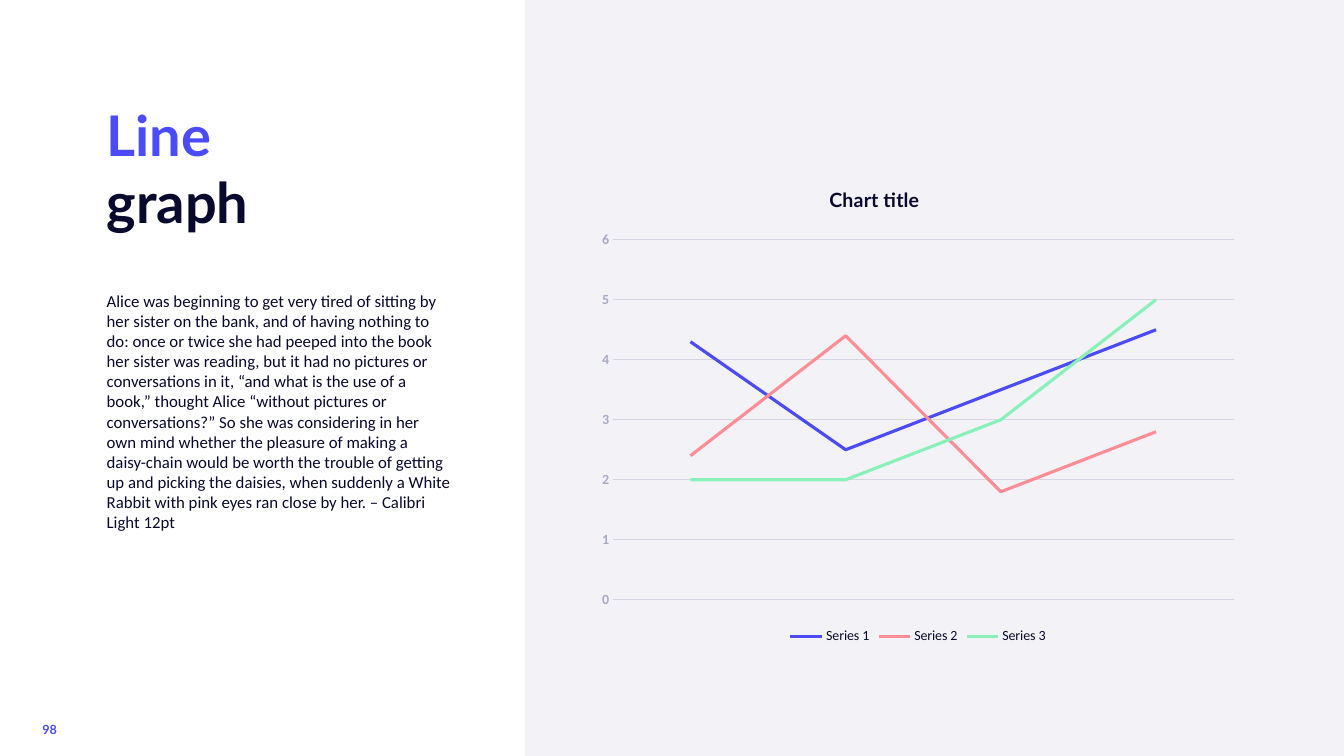
from lxml.etree import SubElement
from pptx import Presentation
from pptx.chart.data import CategoryChartData
from pptx.dml.color import RGBColor
from pptx.enum.chart import XL_CHART_TYPE as ChartType
from pptx.enum.chart import XL_LEGEND_POSITION as LegendPosition
from pptx.enum.chart import XL_TICK_MARK as TickMark
from pptx.enum.shapes import MSO_SHAPE as Shape
from pptx.oxml.ns import qn
from pptx.util import Cm, Pt

BLUE = RGBColor(0x4B, 0x4B, 0xF9)
NAVY = RGBColor(0x09, 0x09, 0x2D)
CORAL = RGBColor(0xFF, 0x8D, 0x95)
MINT = RGBColor(0x8A, 0xF0, 0xBA)
PANEL_GREY = RGBColor(0xF3, 0xF3, 0xF7)
GRID_GREY = RGBColor(0xD6, 0xD6, 0xE3)
LABEL_GREY = RGBColor(0xA9, 0xA9, 0xC6)

TITLE = [("Line", BLUE), ("graph", NAVY)]
BODY = (
    "Alice was beginning to get very tired of sitting by her sister on the bank, "
    "and of having nothing to do: once or twice she had peeped into the book her "
    "sister was reading, but it had no pictures or conversations in it, “and what "
    "is the use of a book,” thought Alice “without pictures or conversations?” So "
    "she was considering in her own mind whether the pleasure of making a "
    "daisy-chain would be worth the trouble of getting up and picking the daisies, "
    "when suddenly a White Rabbit with pink eyes ran close by her. – Calibri Light "
    "12pt"
)
PAGE_NUMBER = "98"
CHART_TITLE = "Chart title"
CATEGORIES = ["1", "2", "3", "4"]
SERIES = [
    ("Series 1", (4.3, 2.5, 3.5, 4.5), BLUE),
    ("Series 2", (2.4, 4.4, 1.8, 2.8), CORAL),
    ("Series 3", (2, 2, 3, 5), MINT),
]

PAGE_WIDTH, PAGE_HEIGHT = Cm(33.87), Cm(19.05)
PANEL_LEFT = Cm(13.23)
TEXT_LEFT = Cm(2.44)


def style(font, name, size, color=None, bold=False):
    font.name, font.size, font.bold = name, Pt(size), bold
    if color is not None:
        font.color.rgb = color


def add_text(page, left, top, width, height):
    """Add a wrapping text box and return its text frame."""
    frame = page.shapes.add_textbox(left, top, width, height).text_frame
    frame.word_wrap = True
    return frame


def place(element, **fractions):
    """Fix a chart part at fractions of the chart's width and height."""
    layout = element.find(qn("c:layout"))
    if layout is None:
        layout = element.makeelement(qn("c:layout"))
        element.insert(0, layout)
    manual = SubElement(layout, qn("c:manualLayout"))
    if "w" in fractions:
        SubElement(manual, qn("c:layoutTarget")).set("val", "inner")
    for mode in ("xMode", "yMode"):
        SubElement(manual, qn(f"c:{mode}")).set("val", "edge")
    for key, value in fractions.items():
        SubElement(manual, qn(f"c:{key}")).set("val", str(value))


def add_line_chart(page):
    data = CategoryChartData()
    data.categories = CATEGORIES
    for name, values, _ in SERIES:
        data.add_series(name, values)
    chart = page.shapes.add_chart(
        ChartType.LINE, Cm(14.83), Cm(4.34), Cm(16.61), Cm(11.99), data
    ).chart
    style(chart.font, "Lato", 12, NAVY)

    chart.has_title = True
    heading = chart.chart_title.text_frame
    heading.text = CHART_TITLE
    style(heading.paragraphs[0].font, "Lato", 14, NAVY, True)
    place(chart.chart_title._element, x=0.36, y=0.02)
    plot = chart.plots[0]
    place(plot._element.getparent(), x=0.037, y=0.142, w=0.942, h=0.757)

    chart.has_legend = True
    chart.legend.position = LegendPosition.BOTTOM
    chart.legend.include_in_layout = False
    style(chart.legend.font, "Calibri", 10, NAVY)

    chart.category_axis.visible = False
    axis = chart.value_axis
    axis.minimum_scale, axis.maximum_scale, axis.major_unit = 0, 6, 1
    axis.major_tick_mark = axis.minor_tick_mark = TickMark.NONE
    axis.format.line.fill.background()
    axis.major_gridlines.format.line.color.rgb = GRID_GREY
    axis.major_gridlines.format.line.width = Pt(0.75)
    style(axis.tick_labels.font, "Calibri", 10, LABEL_GREY, True)

    plot.vary_by_categories = False
    for series, (_, _, color) in zip(plot.series, SERIES):
        series.smooth = False
        series.format.line.color.rgb = color
        series.format.line.width = Pt(2.25)


def main():
    deck = Presentation()
    deck.slide_width, deck.slide_height = PAGE_WIDTH, PAGE_HEIGHT
    page = deck.slides.add_slide(deck.slide_layouts[6])

    number = add_text(page, Cm(0.94), Cm(18.11), Cm(1.02), Cm(0.61))
    number.margin_left = number.margin_right = Cm(0.13)
    number.margin_top = number.margin_bottom = Cm(0.13)
    para = number.paragraphs[0]
    para.text = PAGE_NUMBER
    para.line_spacing = 0.9
    style(para.font, "Lato", 9, BLUE, True)

    panel = page.shapes.add_shape(
        Shape.RECTANGLE, PANEL_LEFT, 0, PAGE_WIDTH - PANEL_LEFT, PAGE_HEIGHT
    )
    panel.shadow.inherit = False
    panel.fill.solid()
    panel.fill.fore_color.rgb = PANEL_GREY
    panel.line.fill.background()

    para = add_text(page, TEXT_LEFT, Cm(2.41), Cm(9.91), Cm(3.68)).paragraphs[0]
    style(para.font, "Lato", 40, bold=True)
    for index, (word, color) in enumerate(TITLE):
        if index:
            para.add_line_break()
        span = para.add_run()
        span.text = word
        span.font.color.rgb = color

    para = add_text(page, TEXT_LEFT, Cm(7.19), Cm(9.19), Cm(5.38)).paragraphs[0]
    para.text = BODY
    style(para.font, "Calibri", 12, NAVY)

    add_line_chart(page)
    deck.save("out.pptx")


if __name__ == "__main__":
    main()
